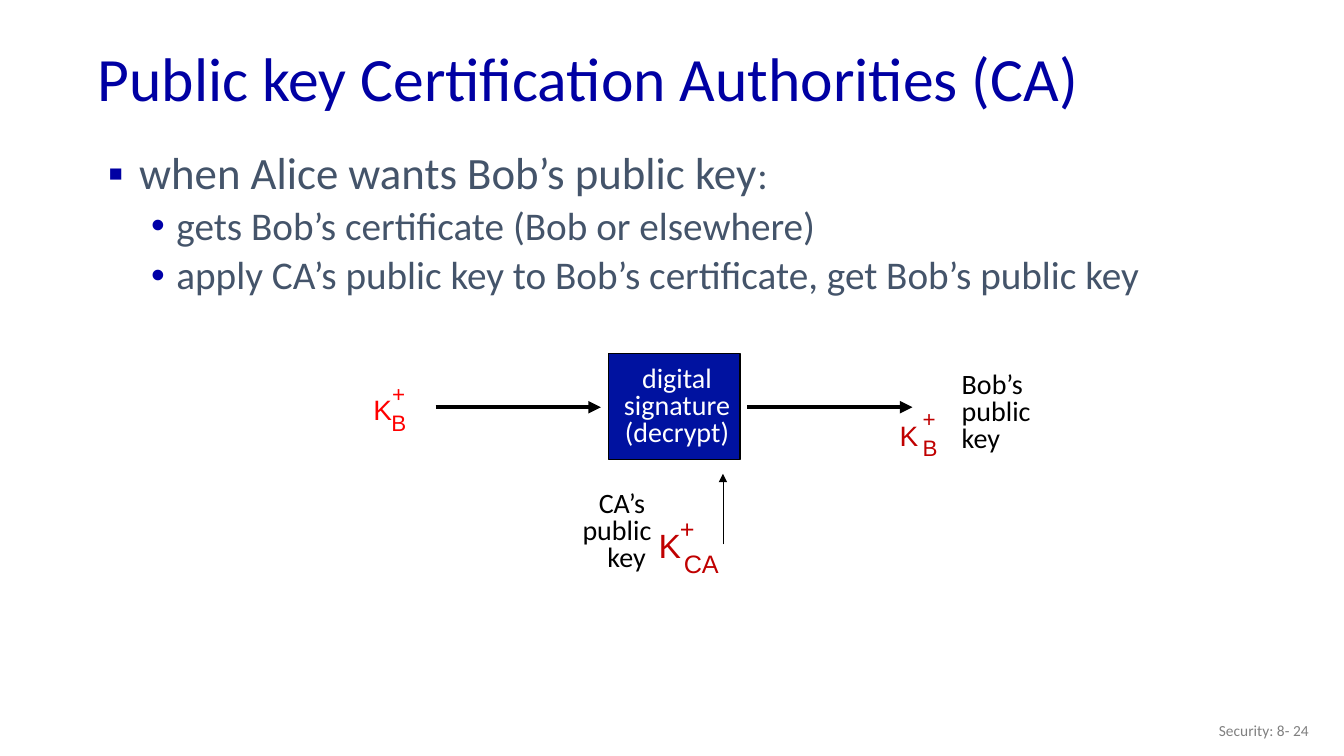
from pptx import Presentation
from pptx.dml.color import RGBColor
from pptx.enum.shapes import MSO_CONNECTOR as Connector, MSO_SHAPE as Shape
from pptx.enum.text import MSO_ANCHOR as Anchor, MSO_AUTO_SIZE as AutoSize, PP_ALIGN as Align
from pptx.oxml.ns import qn
from pptx.util import Inches, Pt
from lxml.etree import SubElement

TITLE_BLUE = RGBColor(0x00, 0x00, 0xA3)
BULLET_BLUE = RGBColor(0x00, 0x00, 0xA8)
BOX_BLUE = RGBColor(0x00, 0x12, 0xA0)
SLATE = RGBColor(0x44, 0x54, 0x6A)
GRAY = RGBColor(0x80, 0x80, 0x80)
BLACK = RGBColor(0x00, 0x00, 0x00)
WHITE = RGBColor(0xFF, 0xFF, 0xFF)
RED = RGBColor(0xFF, 0x00, 0x00)
DARK_RED = RGBColor(0xC0, 0x00, 0x00)


class Page:
    cell = Inches(0.1)
    text_font = "Calibri"
    key_font = "Arial"

    def __init__(self, deck):
        self.slide = deck.slides.add_slide(deck.slide_layouts[1])
        self.shapes = self.slide.shapes

    def grid(self, *cells):
        return [round(count * self.cell) for count in cells]

    def style(self, span, size, color, font=text_font):
        span.font.size = Pt(size)
        span.font.name = font
        span.font.color.rgb = color

    def place(self, holder, area):
        holder.left, holder.top, holder.width, holder.height = self.grid(*area)
        holder.text_frame.auto_size = AutoSize.NONE

    def title(self, text, area):
        holder = self.shapes.title
        self.place(holder, area)
        holder.text_frame.text = text
        holder.text_frame.vertical_anchor = Anchor.MIDDLE
        para = holder.text_frame.paragraphs[0]
        para.alignment = Align.LEFT
        para.line_spacing = 0.9
        self.style(para.runs[0], 44, TITLE_BLUE)

    def bullet(self, para, mark, color, margin, hang):
        props = para._p.get_or_add_pPr()
        props.set("marL", str(Inches(margin)))
        props.set("indent", str(-Inches(hang)))
        tint = SubElement(props, qn("a:buClr"))
        SubElement(tint, qn("a:srgbClr")).set("val", str(color))
        SubElement(props, qn("a:buFont")).set("typeface", self.key_font)
        SubElement(props, qn("a:buChar")).set("char", mark)

    def outline(self, heading, points, area):
        holder = self.slide.placeholders[1]
        self.place(holder, area)
        frame = holder.text_frame
        frame.text = "\n".join([heading, *points])
        for index, para in enumerate(frame.paragraphs):
            if index:
                para.level = 1
                self.bullet(para, "•", BULLET_BLUE, 0.76, 0.25)
            else:
                self.bullet(para, "▪", TITLE_BLUE, 0.39, 0.31)
            para.line_spacing = 0.9
            para.space_before = Pt(5 if index else 0)
            self.style(para.runs[0], 28 if index else 32, SLATE)
        colon = frame.paragraphs[0].add_run()
        colon.text = ":"
        self.style(colon, 28, SLATE)

    def label(self, text, area, size=20, color=BLACK, align=Align.LEFT,
              spacing=0.8, font=text_font, wrap=True, anchor=Anchor.TOP):
        box = self.shapes.add_textbox(*self.grid(*area))
        frame = box.text_frame
        frame.word_wrap = wrap
        frame.vertical_anchor = anchor
        frame.text = text
        for para in frame.paragraphs:
            para.alignment = align
            para.line_spacing = spacing
            self.style(para.runs[0], size, color, font)
        return box

    def key(self, letter_area, owner, owner_area, plus_area, size, small, color):
        parts = [("K ", letter_area, size), (owner, owner_area, small), ("+", plus_area, small)]
        for text, area, points in parts:
            self.label(text, area, points, color, Align.CENTER, 1.0, self.key_font, False)

    def block(self, area):
        block = self.shapes.add_shape(Shape.RECTANGLE, *self.grid(*area))
        block.shadow.inherit = False
        block.fill.solid()
        block.fill.fore_color.rgb = BOX_BLUE
        block.line.color.rgb = BLACK
        block.line.width = Pt(0.75)

    def arrow(self, start, end, width):
        arrow = self.shapes.add_connector(Connector.STRAIGHT, *self.grid(*start, *end))
        arrow.line.color.rgb = BLACK
        arrow.line.width = Pt(width)
        SubElement(arrow.line._get_or_add_ln(), qn("a:tailEnd")).set("type", "triangle")
        SubElement(arrow._element.spPr, qn("a:effectLst"))


def main():
    deck = Presentation()
    deck.slide_width, deck.slide_height = Inches(13.33), Inches(7.5)
    page = Page(deck)
    page.title("Public key Certification Authorities (CA)", (8.7, 3.2, 115, 9.8))
    page.outline(
        "when Alice wants Bob’s public key",
        ["gets Bob’s certificate (Bob or elsewhere)",
         "apply CA’s public key to Bob’s certificate, get Bob’s public key"],
        (8.9, 14.5, 122.4, 18))
    page.label("Security: 8- 24", (100.8, 70.5, 30, 4), 11, GRAY, Align.RIGHT, 1.0,
               anchor=Anchor.MIDDLE)

    page.key((36, 38.4, 4.7, 4.4), "B", (37.8, 40.1, 3.5, 3.7), (37.9, 37.2, 3.3, 3.7),
             20, 16, RED)
    page.key((88.2, 41, 4.7, 4.4), "B", (90.5, 42.6, 3.5, 3.7), (90.5, 39.7, 3.3, 3.7),
             20, 16, DARK_RED)
    page.key((64.3, 51.6, 5.2, 5.1), "CA", (66.8, 53.9, 5.5, 4), (66.4, 50.4, 3.5, 4),
             24, 18, DARK_RED)

    page.label("Bob’s\npublic\nkey", (94.4, 36.5, 10.5, 9.2))
    owner = page.label("CA’s \npublic\nkey", (55.1, 48.3, 10.5, 9.2), align=Align.RIGHT)
    gap = owner.text_frame.paragraphs[-1].add_run()
    gap.text = " "
    page.style(gap, 18, BLACK)

    page.block((60.4, 35.1, 13, 10.5))
    page.label("digital\nsignature\n(decrypt)", (60.8, 35.9, 12.7, 9.2), color=WHITE,
               align=Align.CENTER, wrap=False)
    for left in (43.2, 74.1):
        page.arrow((left, 40.4), (left + 16.4, 40.4), 3)
    page.arrow((71.7, 54), (71.7, 47), 0.5)
    deck.save("out.pptx")


if __name__ == "__main__":
    main()
